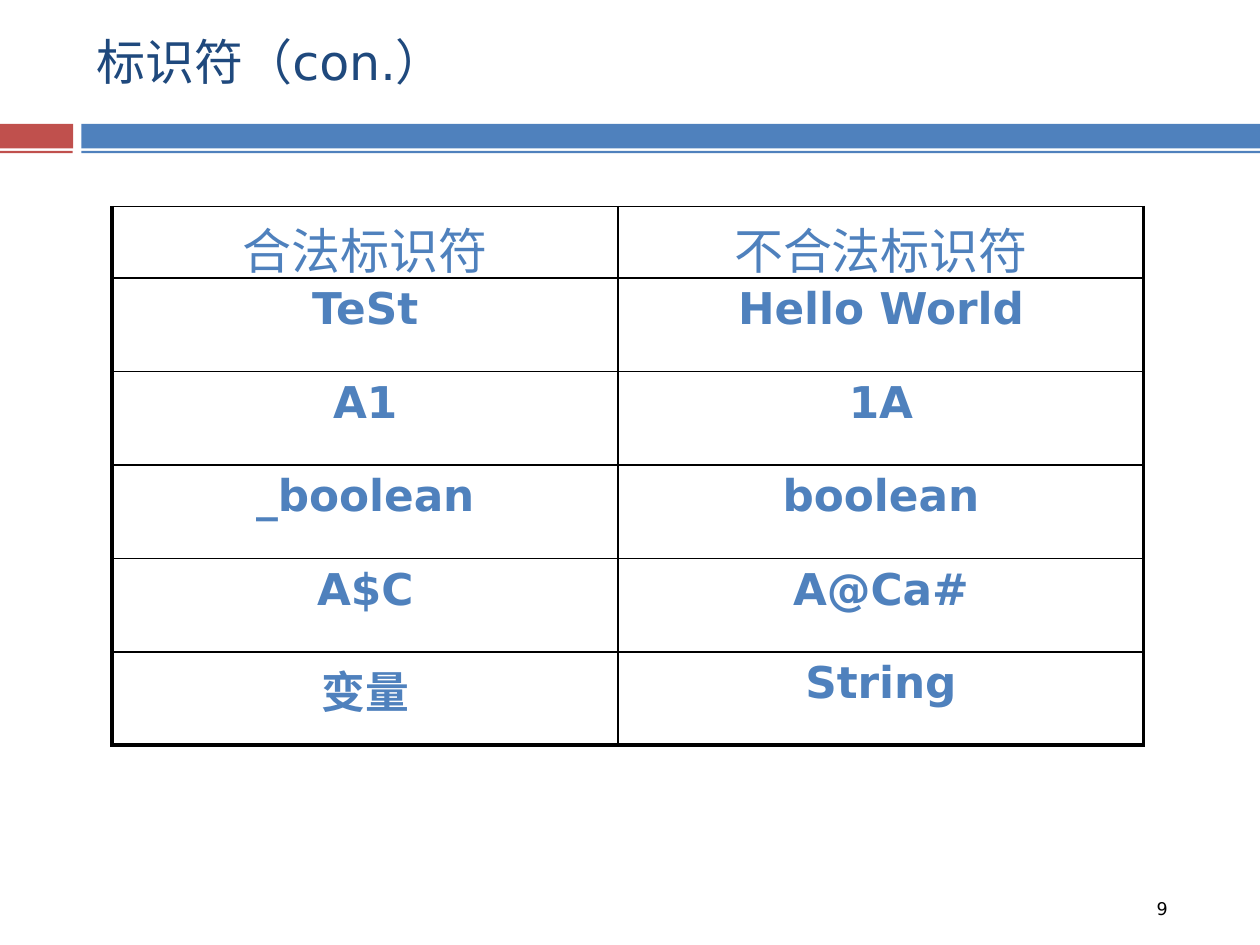
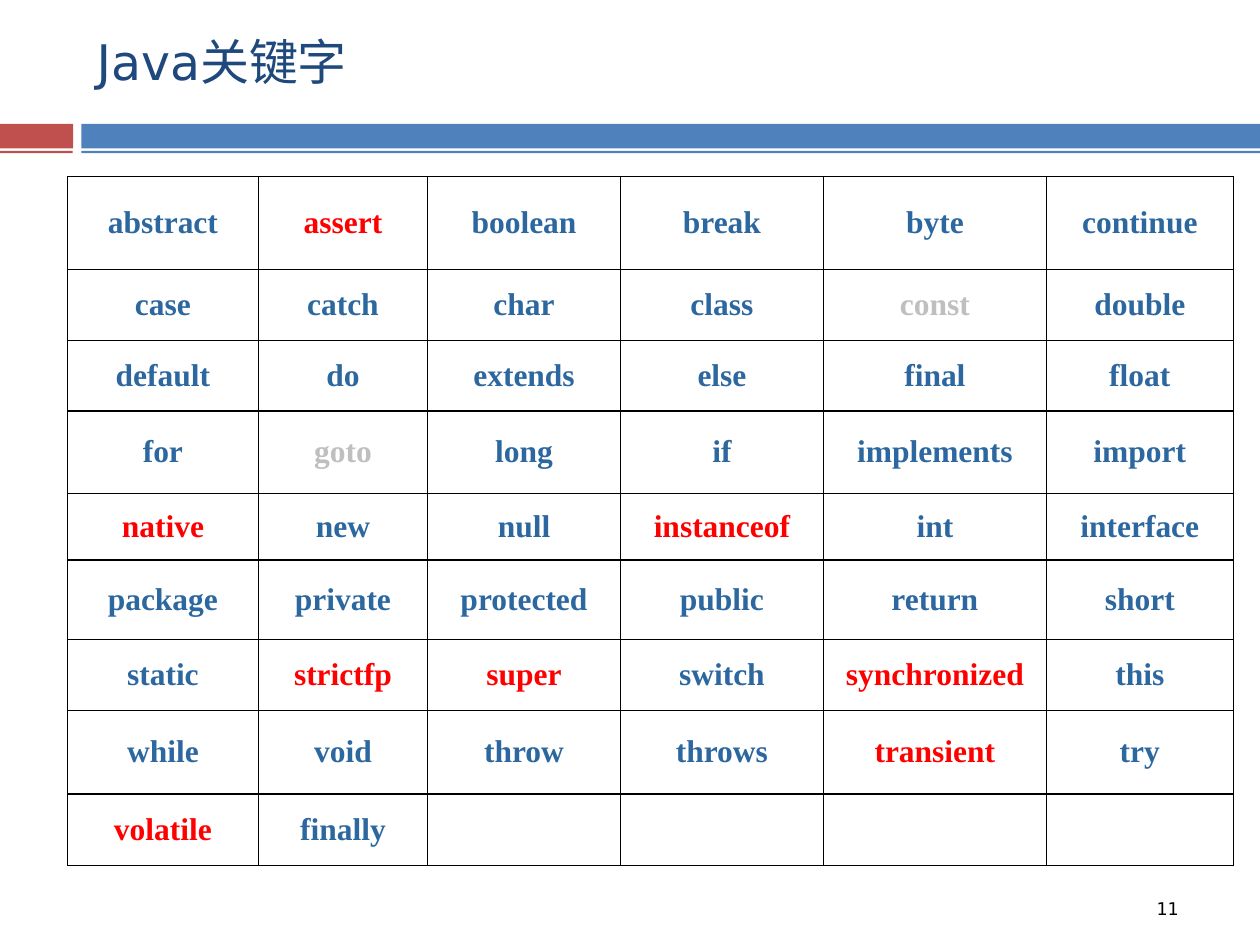
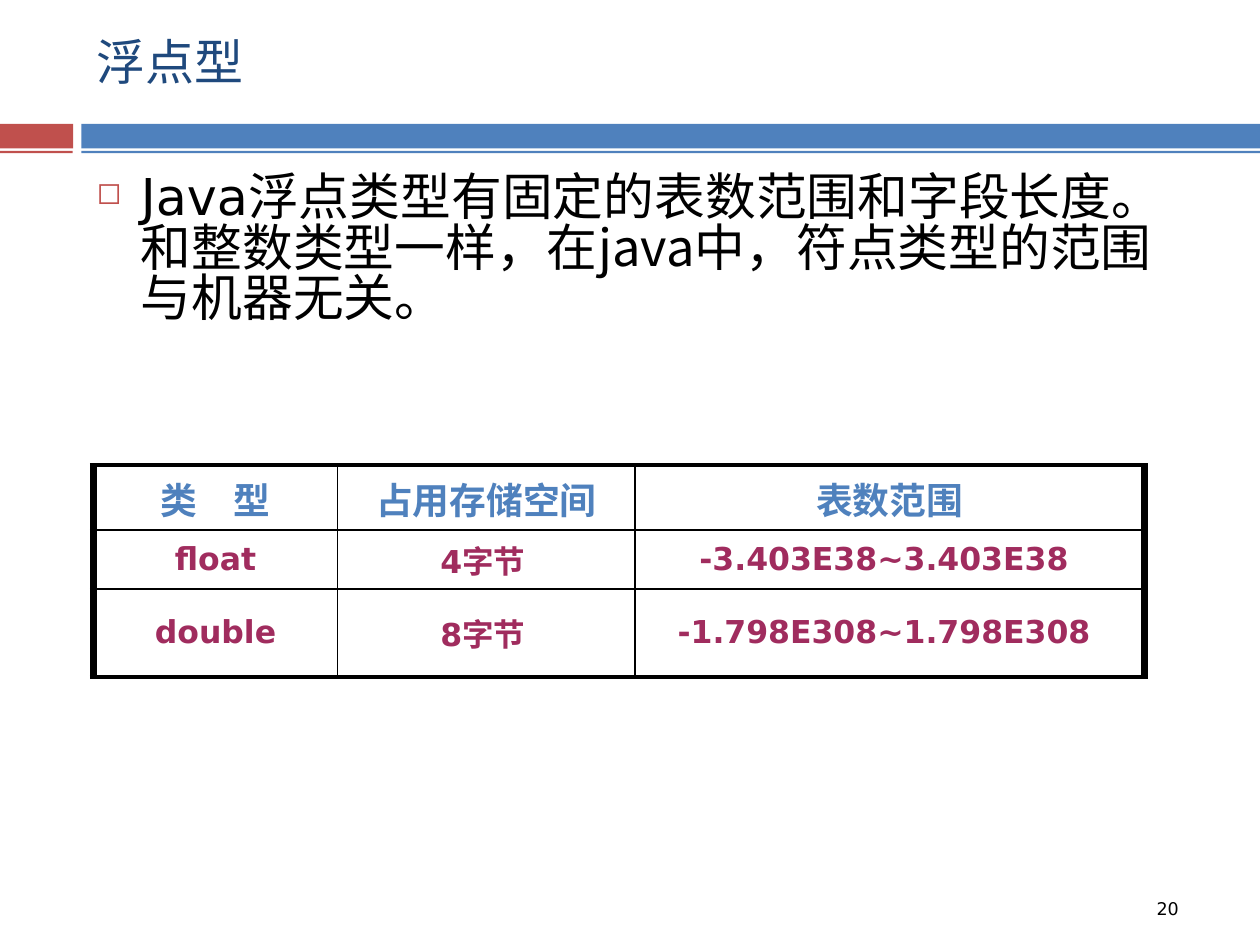
"""Build three slides on Java identifiers, keywords and floating types."""
import lxml.etree
import pptx
import pptx.dml.color
import pptx.enum.shapes
import pptx.enum.text
import pptx.oxml.ns
import pptx.util

Pt = pptx.util.Pt
qn = pptx.oxml.ns.qn
ANCHOR = pptx.enum.text.MSO_ANCHOR
CENTER = pptx.enum.text.PP_ALIGN.CENTER
RECT = pptx.enum.shapes.MSO_SHAPE.RECTANGLE
SANS, CJK, SERIF = "DejaVu Sans", "Noto Sans CJK SC", "Times New Roman"
BLUE, RED, NAVY, BLACK, WHITE = "4F81BD", "C0504D", "1F497D", "000000", "FFFFFF"
STEEL, HOT, GREY, PLUM = "2C689F", "FF0000", "BFBFBF", "A02C5E"


def paint(code):
    return pptx.dml.color.RGBColor.from_string(code)


def write(frame, text, size=18, color=BLACK, font=SANS, bold=False, align=None):
    par = frame.paragraphs[0]
    par.alignment = align
    run = par.add_run()
    run.text = text
    run.font.size = Pt(size)
    run.font.bold = bold
    run.font.color.rgb = paint(color)
    run.font.name = font
    east = lxml.etree.SubElement(run.font._element, qn("a:ea"))
    east.set("typeface", CJK)
    return par


bands = [
    (0, 70.8, 41.8, 14, RED),
    (46.5, 70.8, 673.5, 14, BLUE),
    (0, 86.2, 41.5, 1.3, RED),
    (46.5, 86.2, 673.5, 1.3, BLUE),
]

names = [
    ["合法标识符", "不合法标识符"],
    ["TeSt", "Hello World"],
    ["A1", "1A"],
    ["_boolean", "boolean"],
    ["A$C", "A@Ca#"],
    ["变量", "String"],
]
words = [row.split() for row in (
    "abstract assert boolean break byte continue",
    "case catch char class const double",
    "default do extends else final float",
    "for goto long if implements import",
    "native new null instanceof int interface",
    "package private protected public return short",
    "static strictfp super switch synchronized this",
    "while void throw throws transient try",
    "volatile finally",
)]
types = [
    ["类　型", "占用存储空间", "表数范围"],
    ["float", "4字节 ", "-3.403E38~3.403E38 "],
    ["double", "8字节 ", "-1.798E308~1.798E308 "],
]
tints = dict.fromkeys(
    "assert native instanceof strictfp super synchronized transient volatile".split(), HOT)
tints.update(const=GREY, goto=GREY)
key = dict(size=18, color=STEEL, font=SERIF, bold=True)

pages = [
    dict(title="标识符（con.）", num=9, rows=names, left=64.1, top=118.1,
         cols=[289.2, 300.2], tall=[37.4] + [53.4] * 5,
         edge=dict(L=2.25, T=1, R=2.25, B=2.25), rule=1,
         pad=(7.2, 3.6), anchor=ANCHOR.TOP, tint={},
         head=dict(size=28, color=BLUE), body=dict(size=25, color=BLUE, bold=True)),
    dict(title="Java关键字", num=11, rows=words, left=38.6, top=101,
         cols=[109, 96.8, 110.2, 116, 127.4, 106.8],
         tall=[53, 40.5, 40.5, 47, 38, 45.5, 40.5, 47.8, 41],
         edge=dict(L=1, T=1, R=1, B=1), rule=0.75,
         pad=(5.8, 2.9), anchor=ANCHOR.MIDDLE, tint=tints, head=key, body=key),
    dict(title="浮点型", num=20, rows=types, left=53.4, top=265.8,
         cols=[139.5, 170, 291], tall=[37, 33.8, 50.2],
         edge=dict(L=4.5, T=2.25, R=4.5, B=2.25), rule=1,
         pad=(7.2, 3.6), anchor=ANCHOR.MIDDLE, tint={},
         head=dict(size=21, color=BLUE, bold=True),
         body=dict(size=18, color=PLUM, bold=True)),
]

deck = pptx.Presentation()
deck.slide_width, deck.slide_height = Pt(720), Pt(540)

for page in pages:
    slide = deck.slides.add_slide(deck.slide_layouts[6])
    for x, y, wide, high, color in bands:
        band = slide.shapes.add_shape(RECT, Pt(x), Pt(y), Pt(wide), Pt(high))
        band.shadow.inherit = False
        band.fill.solid()
        band.fill.fore_color.rgb = paint(color)
        band.line.fill.background()

    title = slide.shapes.add_textbox(Pt(48.2), Pt(0.7), Pt(642.2), Pt(67.7)).text_frame
    title.word_wrap = True
    title.vertical_anchor = ANCHOR.MIDDLE
    write(title, page["title"], size=28, color=NAVY)

    rows, cols, tall = page["rows"], page["cols"], page["tall"]
    grid = slide.shapes.add_table(
        len(rows), len(cols), Pt(page["left"]), Pt(page["top"]),
        Pt(sum(cols)), Pt(sum(tall))).table
    grid.first_row = grid.horz_banding = False
    for col, wide in zip(grid.columns, cols):
        col.width = Pt(wide)
    for r, row in enumerate(rows):
        grid.rows[r].height = Pt(tall[r])
        look = page["body"] if r else page["head"]
        for c in range(len(cols)):
            cell = grid.cell(r, c)
            cell.margin_left = cell.margin_right = Pt(page["pad"][0])
            cell.margin_top = cell.margin_bottom = Pt(page["pad"][1])
            cell.vertical_anchor = page["anchor"]
            outer = dict(L=c == 0, R=c == len(cols) - 1, T=r == 0, B=r == len(rows) - 1)
            for side in "LRTB":
                inner = page["rule"] if side in "LR" else 1
                width = page["edge"][side] if outer[side] else inner
                line = lxml.etree.SubElement(
                    cell._tc.get_or_add_tcPr(), qn("a:ln" + side), w=str(int(Pt(width))))
                fill = lxml.etree.SubElement(line, qn("a:solidFill"))
                lxml.etree.SubElement(fill, qn("a:srgbClr"), val=BLACK)
            cell.fill.solid()
            cell.fill.fore_color.rgb = paint(WHITE)
            if c < len(row):
                tint = page["tint"].get(row[c], look["color"])
                write(cell.text_frame, row[c], align=CENTER, **{**look, "color": tint})

    foot = slide.shapes.add_textbox(Pt(653.8), Pt(509.8), Pt(30.2), Pt(26.6)).text_frame
    write(foot, str(page["num"]), size=10)

note = slide.shapes.add_textbox(Pt(48.2), Pt(96.5), Pt(642.2), Pt(382.3)).text_frame
note.word_wrap = True
write(note, "Java浮点类型", size=29)
par = write(
    note, "有固定的表数范围和字段长度。和整数类型一样，在java中，符点类型的范围与机器无关。",
    size=29, font=CJK)
par.space_before = Pt(4)
par.line_spacing = 0.83
props = par._p.get_or_add_pPr()
props.set("marL", str(int(Pt(25.2))))
props.set("indent", str(int(Pt(-25.2))))
tone = lxml.etree.SubElement(props, qn("a:buClr"))
lxml.etree.SubElement(tone, qn("a:srgbClr"), val=RED)
lxml.etree.SubElement(props, qn("a:buSzPct"), val="60000")
lxml.etree.SubElement(props, qn("a:buChar"), char="◻")

deck.save("out.pptx")
